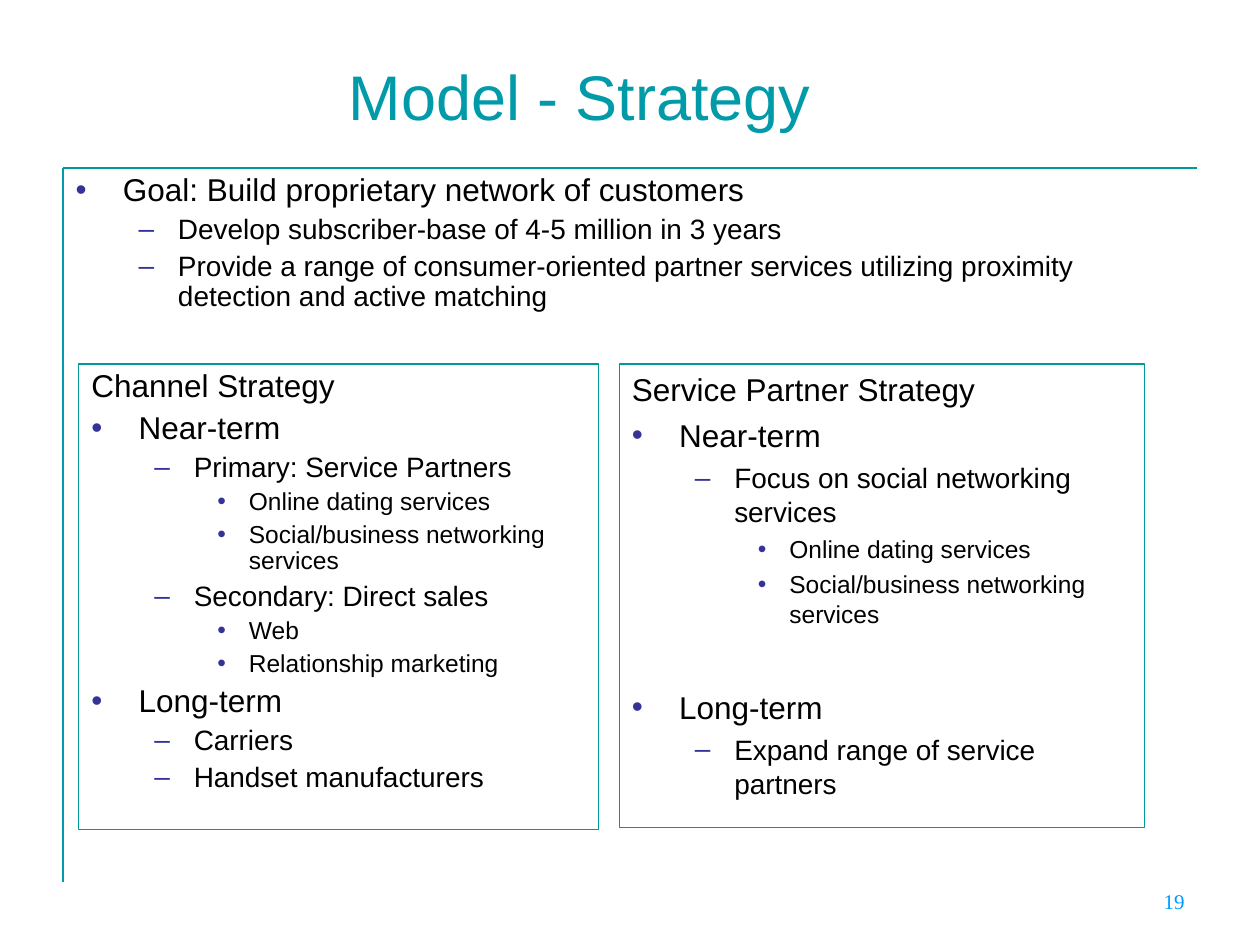
from dataclasses import dataclass

from lxml.etree import SubElement
from pptx import Presentation
from pptx.dml.color import RGBColor
from pptx.enum.shapes import MSO_CONNECTOR
from pptx.enum.text import MSO_ANCHOR, MSO_AUTO_SIZE, PP_ALIGN
from pptx.oxml.ns import qn
from pptx.util import Pt

TEAL = RGBColor(0x00, 0x99, 0x99)
TITLE_TEAL = RGBColor(0x00, 0x9A, 0xA8)
BLACK = RGBColor(0x00, 0x00, 0x00)
BULLET_BLUE = RGBColor(0x33, 0x33, 0x99)
NUMBER_BLUE = RGBColor(0x00, 0x99, 0xFF)


@dataclass(frozen=True)
class Level:
    size: float
    margin: float
    hanging: float
    space_before: float
    bullet: str


@dataclass(frozen=True)
class Item:
    text: str
    level: int = 0
    bulleted: bool = True
    space_before: float | None = None


@dataclass(frozen=True)
class Box:
    left: float
    top: float
    width: float
    height: float


LEVELS = (
    Level(18, 27, 27, 4.5, "•"),
    Level(16, 58.5, 22.5, 4, "–"),
    Level(14, 90, 18, 3.5, "•"),
)

TITLE_BOX = Box(192, 20, 491, 68.5)
GOAL_BOX = Box(36, 96, 614, 150)
CHANNEL_BOX = Box(45, 208, 297, 266)
PARTNER_BOX = Box(354, 208, 300, 265)
NUMBER_BOX = Box(516, 504, 168, 25)

GOAL = (
    Item("Goal: Build proprietary network of customers"),
    Item("Develop subscriber-base of 4-5 million in 3 years", 1),
    Item("Provide a range of consumer-oriented partner services utilizing "
         "proximity detection and active matching", 1),
)
CHANNEL_STRATEGY = (
    Item("Channel Strategy", bulleted=False),
    Item("Near-term"),
    Item("Primary: Service Partners", 1),
    Item("Online dating services", 2),
    Item("Social/business networking services", 2),
    Item("Secondary: Direct sales", 1),
    Item("Web", 2),
    Item("Relationship marketing", 2),
    Item("Long-term"),
    Item("Carriers", 1),
    Item("Handset manufacturers", 1),
)
PARTNER_STRATEGY = (
    Item("Service Partner Strategy", bulleted=False),
    Item("Near-term"),
    Item("Focus on social networking services", 1),
    Item("Online dating services", 2),
    Item("Social/business networking services", 2),
    Item("Long-term", space_before=34),
    Item("Expand range of service partners", 1),
)


def place(shape, box: Box, anchor=MSO_ANCHOR.TOP) -> None:
    """Position a text shape and fix its wrapping and margins."""
    shape.left, shape.top = Pt(box.left), Pt(box.top)
    shape.width, shape.height = Pt(box.width), Pt(box.height)
    frame = shape.text_frame
    frame.word_wrap = True
    frame.auto_size = MSO_AUTO_SIZE.NONE
    frame.vertical_anchor = anchor
    frame.margin_left = frame.margin_right = Pt(7.2)
    frame.margin_top = frame.margin_bottom = Pt(3.6)


def write(paragraph, text: str, *, size: float, color: RGBColor = BLACK,
          font: str = "Arial", align=PP_ALIGN.LEFT) -> None:
    paragraph.alignment = align
    run = paragraph.add_run()
    run.text = text
    run.font.size = Pt(size)
    run.font.name = font
    run.font.color.rgb = color


def set_bullet(paragraph, level: Level, bulleted: bool) -> None:
    properties = paragraph._p.get_or_add_pPr()
    properties.set("marL", str(Pt(level.margin)))
    properties.set("indent", str(-Pt(level.hanging)))
    if not bulleted:
        SubElement(properties, qn("a:buNone"))
        return
    color = SubElement(properties, qn("a:buClr"))
    SubElement(color, qn("a:srgbClr"), val=str(BULLET_BLUE))
    SubElement(properties, qn("a:buFont"), typeface="Arial")
    SubElement(properties, qn("a:buChar"), char=level.bullet)


def write_list(shape, items: tuple[Item, ...], line_spacing: float) -> None:
    frame = shape.text_frame
    for index, item in enumerate(items):
        paragraph = frame.add_paragraph() if index else frame.paragraphs[0]
        level = LEVELS[item.level]
        gap = level.space_before if item.space_before is None else item.space_before
        paragraph.level = item.level
        set_bullet(paragraph, level, item.bulleted)
        paragraph.line_spacing = line_spacing
        paragraph.space_before = Pt(gap if index else 0)
        write(paragraph, item.text, size=level.size)


def outline(shape) -> None:
    shape.line.color.rgb = TEAL
    shape.line.width = Pt(0.75)


def add_rule(slide, start: tuple[float, float], end: tuple[float, float],
             color: RGBColor) -> None:
    rule = slide.shapes.add_connector(
        MSO_CONNECTOR.STRAIGHT, *map(Pt, start), *map(Pt, end))
    rule.line.color.rgb = color
    rule.line.width = Pt(0.75)
    SubElement(rule._element.spPr, qn("a:effectLst"))


def main() -> None:
    presentation = Presentation()
    presentation.slide_width, presentation.slide_height = Pt(720), Pt(540)
    slide = presentation.slides.add_slide(presentation.slide_layouts[3])
    title, goal, channel = slide.placeholders

    add_rule(slide, (36, 96), (684, 96), TEAL)
    add_rule(slide, (36, 96), (36, 504), TITLE_TEAL)

    place(title, TITLE_BOX, MSO_ANCHOR.MIDDLE)
    write(title.text_frame.paragraphs[0], "Model - Strategy",
          size=36, color=TITLE_TEAL)

    place(goal, GOAL_BOX)
    write_list(goal, GOAL, 0.9)

    place(channel, CHANNEL_BOX)
    outline(channel)
    write_list(channel, CHANNEL_STRATEGY, 0.9)

    partner = slide.shapes.add_textbox(0, 0, 0, 0)
    place(partner, PARTNER_BOX)
    outline(partner)
    write_list(partner, PARTNER_STRATEGY, 1.0)

    number = slide.shapes.add_textbox(0, 0, 0, 0)
    place(number, NUMBER_BOX)
    write(number.text_frame.paragraphs[0], "19", size=12, color=NUMBER_BLUE,
          font="Times New Roman", align=PP_ALIGN.RIGHT)

    presentation.save("out.pptx")


if __name__ == "__main__":
    main()
